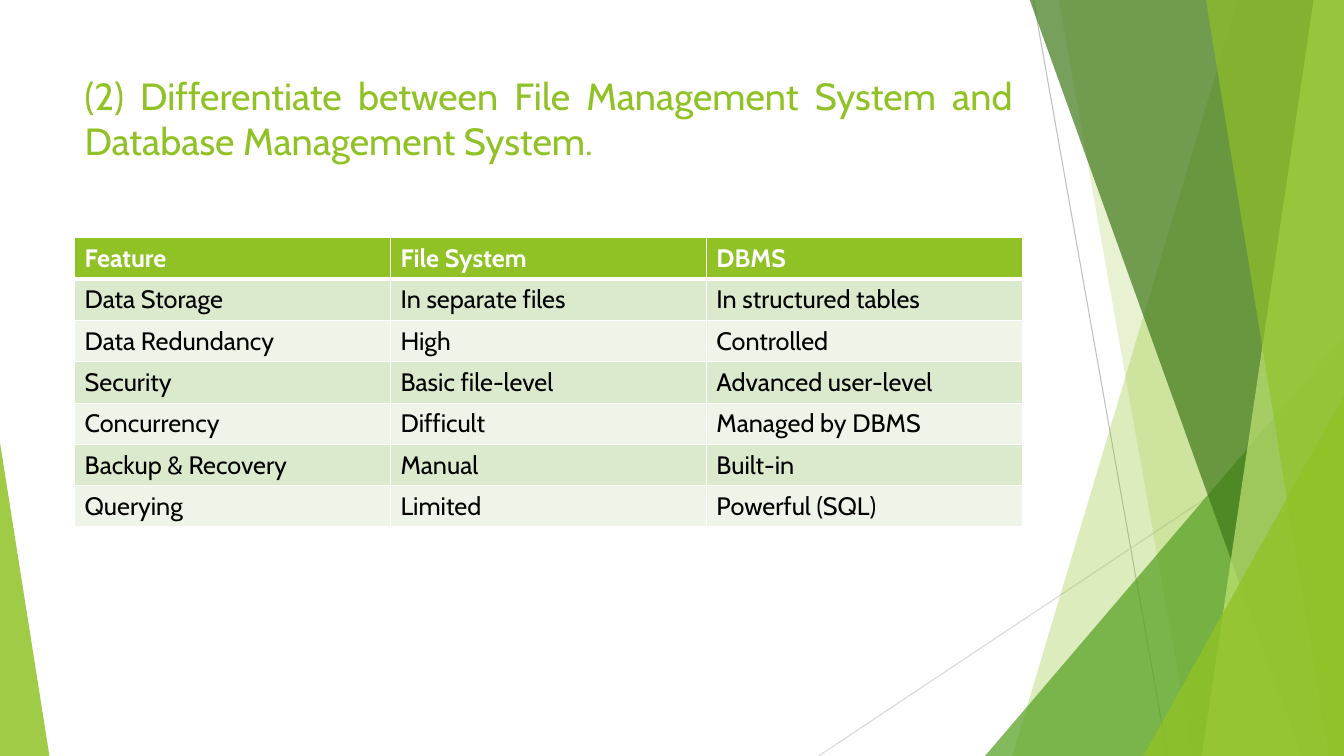
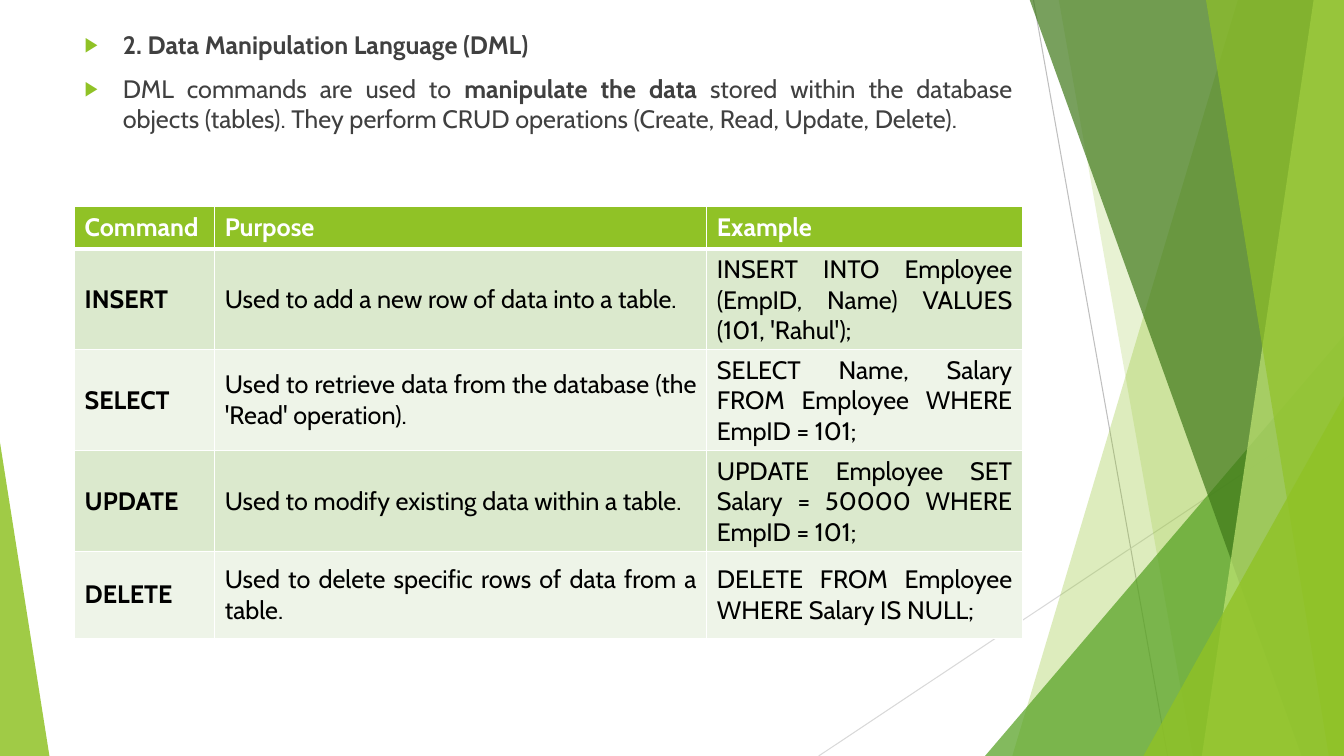
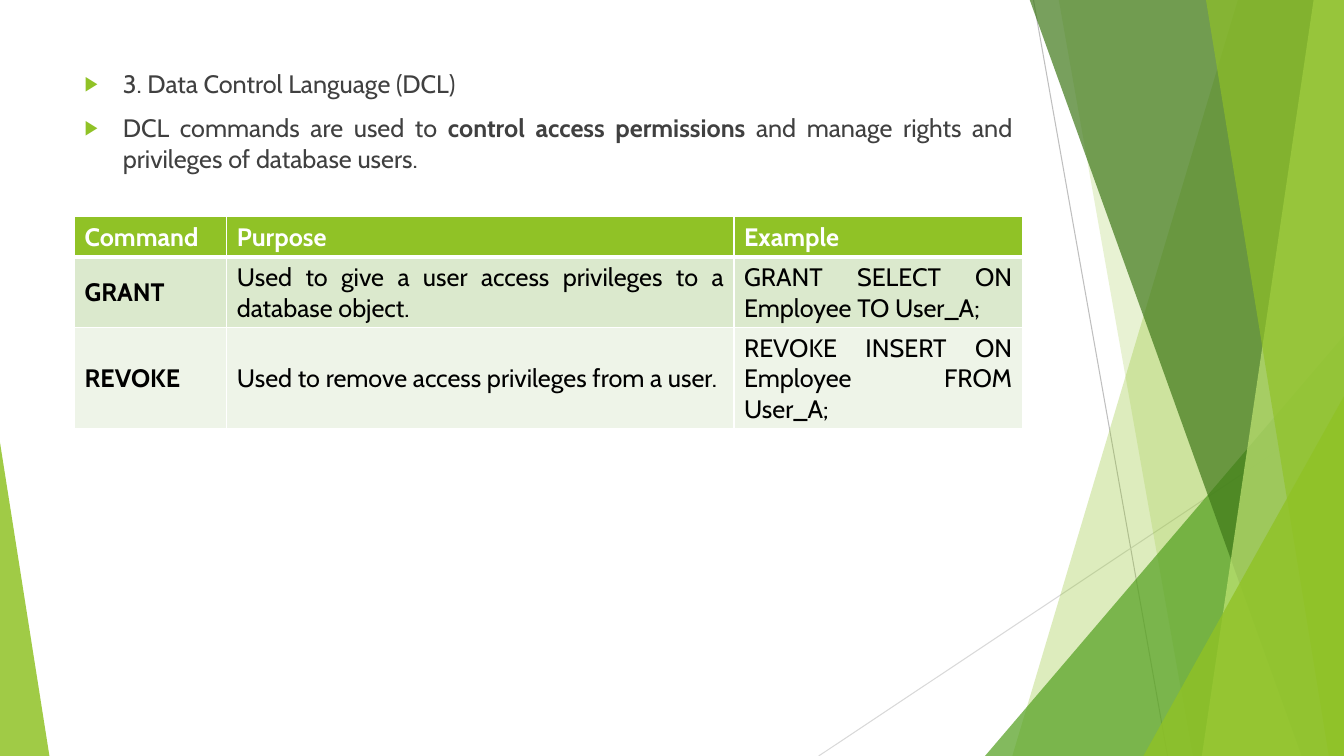
from lxml.etree import SubElement
from pptx import Presentation
from pptx.dml.color import RGBColor
from pptx.enum.shapes import MSO_CONNECTOR, MSO_SHAPE
from pptx.enum.text import MSO_ANCHOR, PP_ALIGN
from pptx.oxml.ns import qn
from pptx.util import Inches, Pt

# Shared look
FONT = "Cabin"
WHITE = RGBColor(0xFF, 0xFF, 0xFF)
BLACK = RGBColor(0x00, 0x00, 0x00)
BODY_GREY = RGBColor(0x40, 0x40, 0x40)
LINE_GREY = RGBColor(0xBF, 0xBF, 0xBF)
PALE_GREY = RGBColor(0xD9, 0xD9, 0xD9)
GREEN = RGBColor(0x90, 0xC2, 0x26)
MID_GREEN = RGBColor(0x54, 0xA0, 0x21)
DARK_GREEN = RGBColor(0x3F, 0x78, 0x19)
LIGHT_GREEN = RGBColor(0xC0, 0xE4, 0x74)
ROW_BANDS = [RGBColor(0xDB, 0xE9, 0xCD), RGBColor(0xEE, 0xF4, 0xE8)]

WIDTH, HEIGHT = 13.33, 7.5
LEFT, CONTENT_WIDTH = 0.74, 9.4
INDENT = Inches(0.38)

# Background: thin rays, then translucent facets from back to front
RAYS = [(10.25, 0, 11.58, HEIGHT, LINE_GREY), (WIDTH, 4.03, 8.12, HEIGHT, PALE_GREY)]
# A slant runs from top x to bottom x and fills up to the right edge.
# A corner is a right triangle: left, width, height, apex (0 left, 1 right).
FACETS = [
    ("slant", (12.28, 10.04), GREEN, 30),
    ("slant", (10.5, 11.83), GREEN, 20),
    ("corner", (9.77, 3.56, 4.17, 1), MID_GREEN, 72),
    ("slant", (10.21, 12.91), DARK_GREEN, 70),
    ("slant", (13.03, 11.92), LIGHT_GREEN, 70),
    ("slant", (11.96, 13.18), GREEN, 65),
    ("corner", (11.34, 1.99, 3.57, 1), GREEN, 80),
    ("corner", (0, 0.49, 3.11, 0), GREEN, 85),
]

# Content: bullets hold (text, bold) runs
SLIDES = [
    {
        "title": "(2) Differentiate between File Management System and Database Management System.",
        "text_box": (0.67, 1.1),
        "table_top": 2.36,
        "columns": [CONTENT_WIDTH / 3] * 3,
        "row_heights": (0.41, 0.41),
        "bold_commands": False,
        "rows": [
            ("Feature", "File System", "DBMS"),
            ("Data Storage", "In separate files", "In structured tables"),
            ("Data Redundancy", "High", "Controlled"),
            ("Security", "Basic file-level", "Advanced user-level"),
            ("Concurrency", "Difficult", "Managed by DBMS"),
            ("Backup & Recovery", "Manual", "Built-in"),
            ("Querying", "Limited", "Powerful (SQL)"),
        ],
    },
    {
        "bullets": [
            [("2. Data Manipulation Language (DML)", True)],
            [
                ("DML commands are used to ", False),
                ("manipulate the data", True),
                (" stored within the database objects (tables). They perform CRUD "
                 "operations (Create, Read, Update, Delete).", False),
            ],
        ],
        "text_box": (0.24, 6.37),
        "table_top": 2.05,
        "columns": [1.39, 4.88, 3.13],
        "row_heights": (0.42, 0.86),
        "bold_commands": True,
        "rows": [
            ("Command", "Purpose", "Example"),
            ("INSERT", "Used to add a new row of data into a table.",
             "INSERT INTO Employee (EmpID, Name) VALUES (101, 'Rahul');"),
            ("SELECT", "Used to retrieve data from the database (the 'Read' operation).",
             "SELECT Name, Salary FROM Employee WHERE EmpID = 101;"),
            ("UPDATE", "Used to modify existing data within a table.",
             "UPDATE Employee SET Salary = 50000 WHERE EmpID = 101;"),
            ("DELETE", "Used to delete specific rows of data from a table.",
             "DELETE FROM Employee WHERE Salary IS NULL;"),
        ],
    },
    {
        "bullets": [
            [("3. Data Control Language (DCL)", False)],
            [
                ("DCL commands are used to ", False),
                ("control access permissions", True),
                (" and manage rights and privileges of database users.", False),
            ],
        ],
        "text_box": (0.63, 5.97),
        "table_top": 2.15,
        "columns": [1.51, 5.03, 2.86],
        "row_heights": (0.31, 0.57),
        "bold_commands": True,
        "rows": [
            ("Command", "Purpose", "Example"),
            ("GRANT", "Used to give a user access privileges to a database object.",
             "GRANT SELECT ON Employee TO User_A;"),
            ("REVOKE", "Used to remove access privileges from a user.",
             "REVOKE INSERT ON Employee FROM User_A;"),
        ],
    },
]


def add_run(paragraph, text, size, color, bold=False):
    paragraph.alignment = PP_ALIGN.JUSTIFY
    run = paragraph.add_run()
    run.text = text
    run.font.name = FONT
    run.font.size = Pt(size)
    run.font.bold = bold
    run.font.color.rgb = color


def add_xml(parent, tag, **attributes):
    return SubElement(parent, qn(tag), {key: str(value) for key, value in attributes.items()})


deck = Presentation()
deck.slide_width, deck.slide_height = Inches(WIDTH), Inches(HEIGHT)

for content in SLIDES:
    slide = deck.slides.add_slide(deck.slide_layouts[6])
    shapes = slide.shapes

    # Rays
    for x1, y1, x2, y2, color in RAYS:
        ray = shapes.add_connector(
            MSO_CONNECTOR.STRAIGHT, Inches(x1), Inches(y1), Inches(x2), Inches(y2))
        ray.line.color.rgb = color
        ray.line.width = Pt(0.75)
        add_xml(ray._element.spPr, "a:effectLst")

    # Facets
    for kind, geometry, color, opacity in FACETS:
        if kind == "slant":
            top_x, bottom_x = geometry
            outline = shapes.build_freeform(Inches(top_x), Inches(-0.01))
            outline.add_line_segments([
                (Inches(WIDTH), Inches(-0.01)),
                (Inches(WIDTH), Inches(HEIGHT)),
                (Inches(bottom_x), Inches(HEIGHT)),
            ], close=True)
            facet = outline.convert_to_shape()
        else:
            left, width, height, apex = geometry
            facet = shapes.add_shape(
                MSO_SHAPE.ISOSCELES_TRIANGLE, Inches(left), Inches(HEIGHT - height),
                Inches(width), Inches(height))
            facet.adjustments[0] = apex
        facet.shadow.inherit = False
        facet.line.fill.background()
        facet.fill.solid()
        facet.fill.fore_color.rgb = color
        tint = facet._element.spPr.find(qn("a:solidFill")).find(qn("a:srgbClr"))
        add_xml(tint, "a:alpha", val=opacity * 1000)

    # Title or bullets
    text_top, text_height = content["text_box"]
    frame = shapes.add_textbox(
        Inches(LEFT), Inches(text_top), Inches(CONTENT_WIDTH), Inches(text_height)).text_frame
    frame.word_wrap = True
    if "title" in content:
        add_run(frame.paragraphs[0], content["title"], 27, GREEN)
    for index, runs in enumerate(content.get("bullets", [])):
        paragraph = frame.add_paragraph() if index else frame.paragraphs[0]
        paragraph.space_before = Pt(10)
        props = paragraph._p.get_or_add_pPr()
        props.set("marL", str(INDENT))
        props.set("indent", str(-INDENT))
        add_xml(add_xml(props, "a:buClr"), "a:srgbClr", val=GREEN)
        add_xml(props, "a:buSzPct", val=80000)
        add_xml(props, "a:buFont", typeface="Arial")
        add_xml(props, "a:buChar", char="▶")
        for text, bold in runs:
            add_run(paragraph, text, 18, BODY_GREY, bold)

    # Table
    rows, columns = content["rows"], content["columns"]
    header_height, row_height = content["row_heights"]
    table = shapes.add_table(
        len(rows), len(columns), Inches(LEFT), Inches(content["table_top"]),
        Inches(CONTENT_WIDTH), Inches(header_height + row_height * (len(rows) - 1))).table
    for column, width in zip(table.columns, columns):
        column.width = Inches(width)
    for r, row in enumerate(rows):
        header = r == 0
        table.rows[r].height = Inches(header_height if header else row_height)
        for c, text in enumerate(row):
            cell = table.cell(r, c)
            cell.vertical_anchor = MSO_ANCHOR.MIDDLE
            # The rule under the header is thicker than the others
            for side in "LRTB":
                thick = (r, side) in [(0, "B"), (1, "T")]
                border = add_xml(cell._tc.get_or_add_tcPr(), f"a:ln{side}", w=Pt(3 if thick else 1))
                add_xml(add_xml(border, "a:solidFill"), "a:srgbClr", val=WHITE)
            cell.fill.solid()
            cell.fill.fore_color.rgb = GREEN if header else ROW_BANDS[(r - 1) % 2]
            bold = header or (c == 0 and content["bold_commands"])
            add_run(cell.text_frame.paragraphs[0], text, 18, WHITE if header else BLACK, bold)

deck.save("out.pptx")
